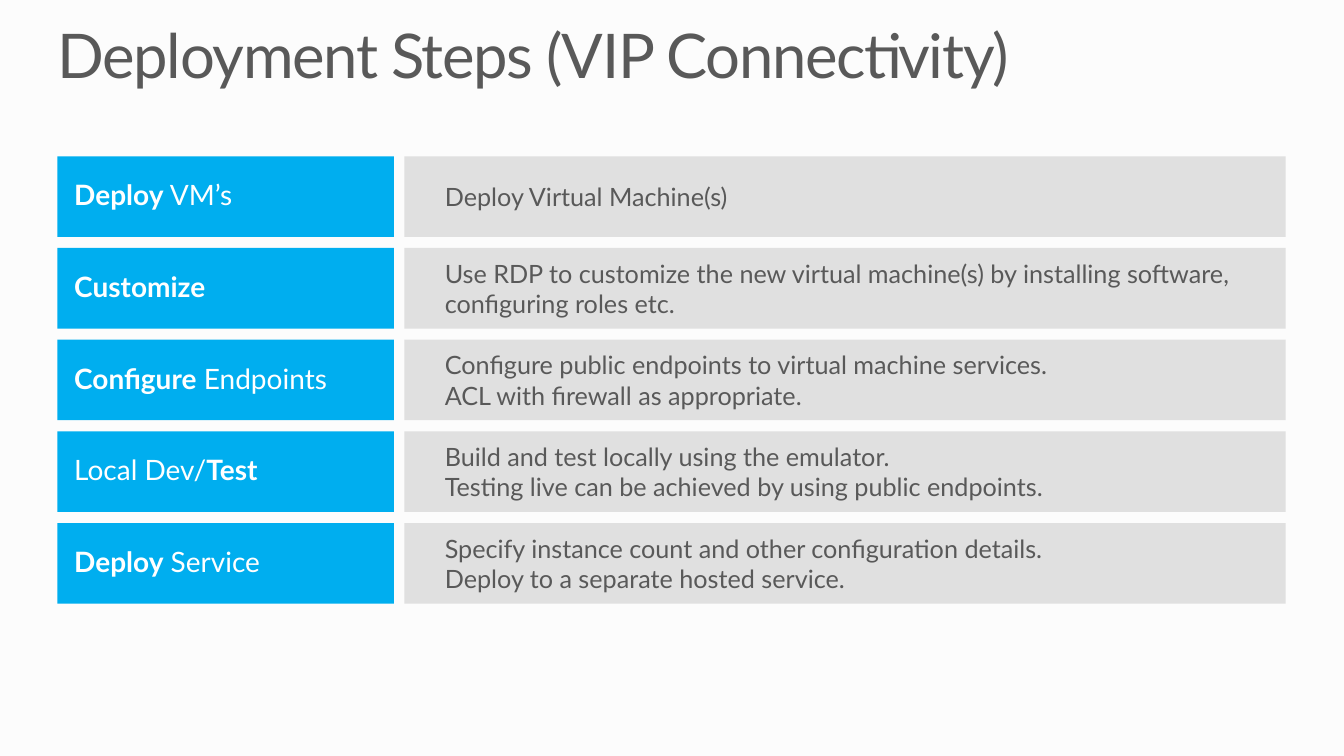
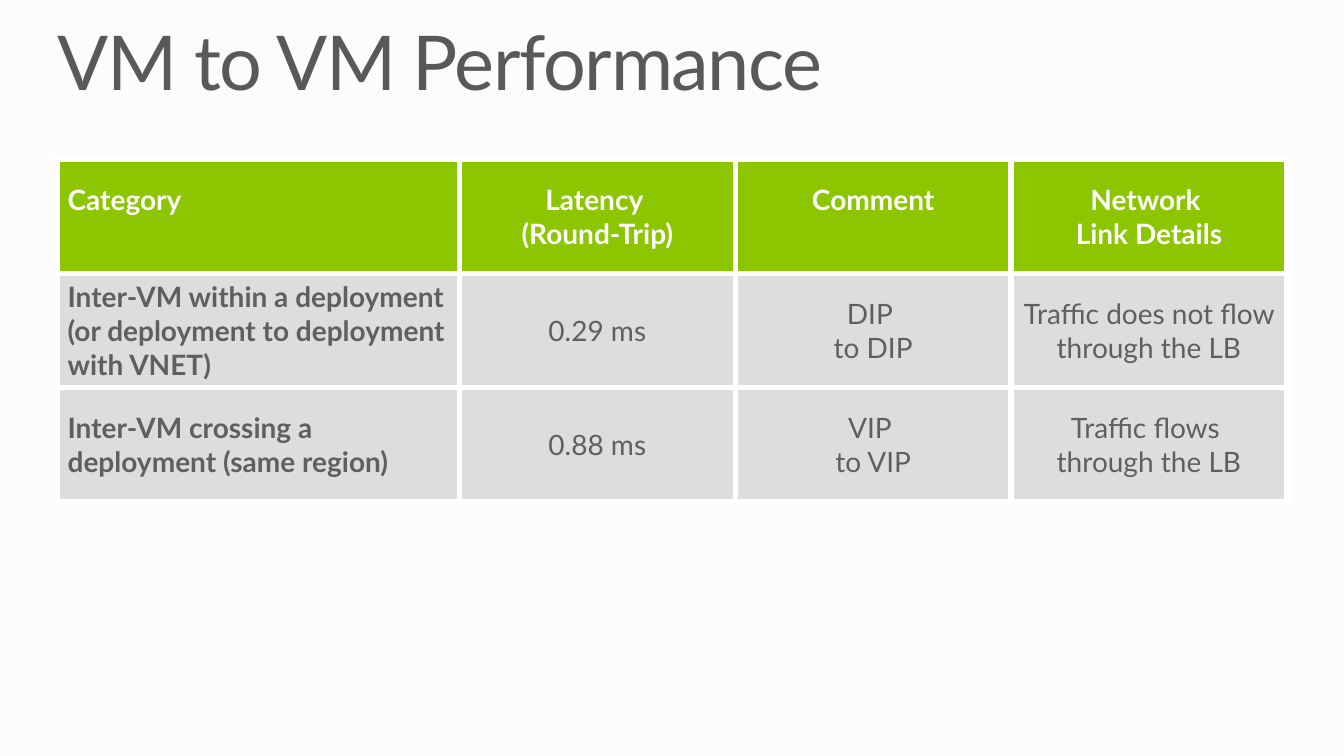
"""Build two slides on virtual machine deployment steps and performance."""
import lxml.etree
import pptx
import pptx.dml.color
import pptx.enum.shapes
import pptx.enum.text
import pptx.oxml.ns
import pptx.util
from pptx.util import Cm

COLORS = {
    "background": "FCFCFC",
    "text": "595959",
    "cell_text": "5F5F5F",
    "white": "FFFFFF",
    "panel": "DDDDDD",
    "blue": "00AEEF",
    "green": "8CC600",
}
FONT = "Lato"
LEFT = Cm(1.45)
WIDTH = Cm(30.96)
ANCHOR = pptx.enum.text.MSO_ANCHOR
ALIGN = pptx.enum.text.PP_ALIGN
qn = pptx.oxml.ns.qn


def rgb(name):
    return pptx.dml.color.RGBColor.from_string(COLORS[name])


def paint(fill, name):
    fill.solid()
    fill.fore_color.rgb = rgb(name)


def write(frame, text, size=20, color="text", bold=False, align=ALIGN.LEFT,
          anchor=ANCHOR.MIDDLE, line=None, before=None, spacing=None, margins=None):
    frame.word_wrap = True
    frame.vertical_anchor = anchor
    if margins:
        (frame.margin_left, frame.margin_top,
         frame.margin_right, frame.margin_bottom) = map(Cm, margins)
    para = frame.paragraphs[0]
    para.alignment = align
    if line:
        para.line_spacing = line
    if before:
        para.space_before = pptx.util.Pt(before)
    for part, piece in enumerate(text.split("*")):
        for row, words in enumerate(piece.split("\n")):
            if row:
                para.add_line_break()
            if not words:
                continue
            span = para.add_run()
            span.text = words
            span.font.name = FONT
            span.font.size = pptx.util.Pt(size)
            span.font.bold = bold or part % 2 == 1
            span.font.color.rgb = rgb(color)
            if spacing:
                span.font._element.set("spc", str(spacing * 100))


class Designer:
    """Holds the deck style and the current page."""

    def __init__(self):
        self.deck = pptx.Presentation()
        self.deck.slide_width = Cm(33.87)
        self.deck.slide_height = Cm(19.05)
        paint(self.deck.slide_master.background.fill, "background")
        self.page = None

    def start(self, title, size, height):
        self.page = self.deck.slides.add_slide(self.deck.slide_layouts[5])
        box = self.page.shapes.title
        box.left, box.top, box.width, box.height = LEFT, Cm(0.64), WIDTH, Cm(height)
        write(box.text_frame, title, size=size, anchor=ANCHOR.TOP, line=0.9,
              spacing=-1, margins=(0, 0, 0, 0))
        box.text_frame.auto_size = pptx.enum.text.MSO_AUTO_SIZE.SHAPE_TO_FIT_TEXT

    def panel(self, left, top, width, height, fill, text, opacity=None, **style):
        box = self.page.shapes.add_shape(
            pptx.enum.shapes.MSO_SHAPE.RECTANGLE, left, top, width, height)
        box.shadow.inherit = False
        box.line.fill.background()
        paint(box.fill, fill)
        if opacity:
            tint = next(box.element.spPr.iter(qn("a:srgbClr")))
            lxml.etree.SubElement(tint, qn("a:alpha"), val=str(opacity * 1000))
        write(box.text_frame, text, **style)

    def border(self, cell, color, points):
        properties = cell._tc.get_or_add_tcPr()
        for side in ("lnL", "lnR", "lnT", "lnB"):
            edge = lxml.etree.SubElement(
                properties, qn(f"a:{side}"), w=str(pptx.util.Pt(points)))
            fill = lxml.etree.SubElement(edge, qn("a:solidFill"))
            lxml.etree.SubElement(fill, qn("a:srgbClr"), val=COLORS[color])

    def table(self, top, widths, row_height, rows):
        grid = self.page.shapes.add_table(
            len(rows), len(widths), LEFT, top, sum(widths), row_height * len(rows)).table
        grid.horz_banding = False
        for column, width in zip(grid.columns, widths):
            column.width = width
        for row, texts in enumerate(rows):
            grid.rows[row].height = row_height
            header = row == 0
            for column, text in enumerate(texts):
                cell = grid.cell(row, column)
                self.border(cell, "white", 4.5)
                paint(cell.fill, "green" if header else "panel")
                write(cell.text_frame, text,
                      color="white" if header else "cell_text",
                      bold=header or column == 0,
                      align=ALIGN.CENTER if column else ALIGN.LEFT)
                cell.vertical_anchor = ANCHOR.TOP if header else ANCHOR.MIDDLE
                if header:
                    cell.margin_top = Cm(0.59)


STEPS = [
    ("*Deploy* VM’s", "Deploy Virtual Machine(s)"),
    ("*Customize*", "Use RDP to customize the new virtual machine(s) by installing "
     "software, configuring roles etc."),
    ("*Configure* Endpoints", "Configure public endpoints to virtual machine services. \n"
     "ACL with firewall as appropriate."),
    ("Local Dev/*Test*", "Build and test locally using the emulator. \n"
     "Testing live can be achieved by using public endpoints."),
    ("*Deploy* Service", "Specify instance count and other configuration details. \n"
     "Deploy to a separate hosted service."),
]
PERFORMANCE = [
    ("Category", "Latency \n(Round-Trip)", "Comment", "Network \nLink Details"),
    ("Inter-VM within a deployment (or deployment to deployment with VNET)",
     "0.29 ms", "DIP \nto DIP", "Traffic does not flow through the LB"),
    ("Inter-VM crossing a deployment (same region)",
     "0.88 ms", "VIP \nto VIP", "Traffic flows \nthrough the LB"),
]


def build_steps(designer):
    designer.start("Deployment Steps (VIP Connectivity)", 44, 1.7)
    height = Cm(2.03)
    for index, (label, detail) in enumerate(STEPS):
        top = Cm(3.94) + index * Cm(2.31)
        designer.panel(LEFT, top, Cm(8.48), height, "blue", label, color="white",
                       line=0.9, margins=(0.42, 0.25, 0.42, 0.25))
        designer.panel(Cm(10.19), top, Cm(22.21), height, "panel", detail, opacity=90,
                       size=18, before=6, margins=(1.02, 0.13, 0.25, 0.13))


def build_performance(designer):
    designer.start("VM to VM Performance", 54, 2.08)
    designer.table(Cm(4.01), [Cm(10.13)] + [Cm(6.95)] * 3, Cm(2.88), PERFORMANCE)


designer = Designer()
build_steps(designer)
build_performance(designer)
designer.deck.save("out.pptx")
